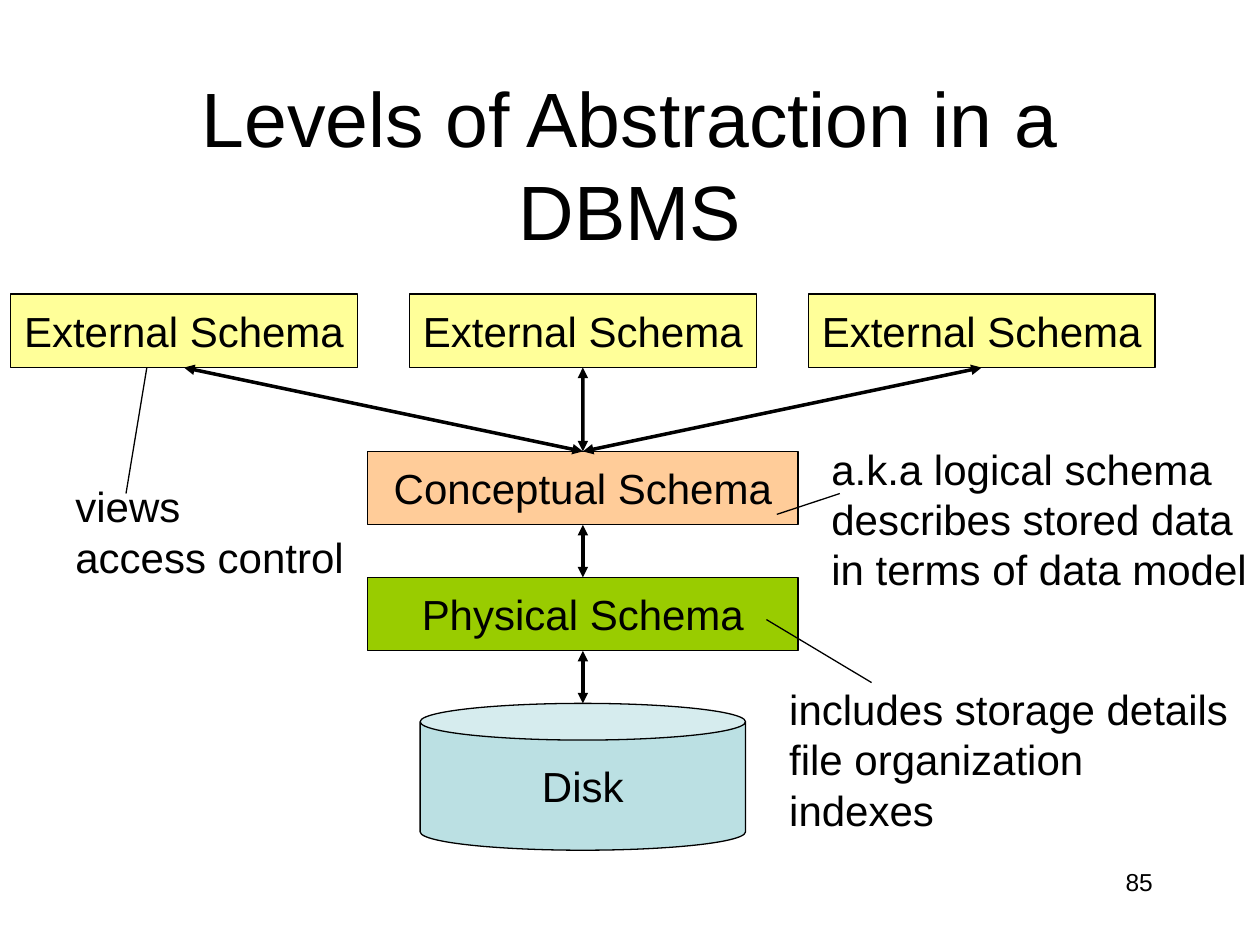
from lxml import etree
from pptx import Presentation
from pptx.dml.color import RGBColor
from pptx.enum.shapes import MSO_CONNECTOR as Connector, MSO_SHAPE as Shape
from pptx.enum.text import MSO_ANCHOR as Anchor, PP_ALIGN as Align
from pptx.oxml.ns import qn
from pptx.util import Cm, Pt

BLACK = RGBColor(0x00, 0x00, 0x00)
YELLOW = RGBColor(0xFF, 0xFF, 0x99)
ORANGE = RGBColor(0xFF, 0xCC, 0x99)
GREEN = RGBColor(0x99, 0xCC, 0x00)
TEAL = RGBColor(0xBB, 0xE0, 0xE3)

TOP, BOTTOM = 0, 2  # connection sites of a rectangle


class SlideBuilder:
    font = "Arial"
    body_size = 24
    thin, thick = 0.75, 2

    def __init__(self, slide):
        self.slide = slide

    def add_lines(self, shape, lines, size, align, anchor, wrap):
        frame = shape.text_frame
        frame.word_wrap = wrap
        frame.vertical_anchor = anchor
        for index, line in enumerate(lines):
            para = frame.add_paragraph() if index else frame.paragraphs[0]
            para.alignment = align
            span = para.add_run()
            span.text = line
            span.font.name = self.font
            span.font.size = Pt(size)
            span.font.color.rgb = BLACK

    def text(self, left, top, width, height, *lines, size=body_size,
             align=Align.LEFT, anchor=Anchor.TOP, wrap=False):
        box = self.slide.shapes.add_textbox(Cm(left), Cm(top), Cm(width), Cm(height))
        self.add_lines(box, lines, size, align, anchor, wrap)

    def block(self, kind, left, top, width, height, fill, label):
        shape = self.slide.shapes.add_shape(kind, Cm(left), Cm(top), Cm(width), Cm(height))
        shape.shadow.inherit = False
        shape.fill.solid()
        shape.fill.fore_color.rgb = fill
        shape.line.color.rgb = BLACK
        shape.line.width = Pt(self.thin)
        self.add_lines(shape, [label], self.body_size, Align.CENTER, Anchor.MIDDLE, False)
        return shape

    def line(self, x1, y1, x2, y2, weight=thin):
        link = self.slide.shapes.add_connector(
            Connector.STRAIGHT, Cm(x1), Cm(y1), Cm(x2), Cm(y2))
        link.line.color.rgb = BLACK
        link.line.width = Pt(weight)
        etree.SubElement(link._element.spPr, qn("a:effectLst"))
        return link

    def arrow(self, x1=0, y1=0, x2=0, y2=0):
        link = self.line(x1, y1, x2, y2, self.thick)
        outline = link._element.spPr.find(qn("a:ln"))
        for end in ("a:headEnd", "a:tailEnd"):
            etree.SubElement(outline, qn(end), type="triangle")
        return link

    def join(self, start, start_site, finish, finish_site):
        link = self.arrow()
        link.begin_connect(start, start_site)
        link.end_connect(finish, finish_site)


def main():
    deck = Presentation()
    deck.slide_width, deck.slide_height = Cm(25.4), Cm(19.05)
    page = SlideBuilder(deck.slides.add_slide(deck.slide_layouts[6]))

    # Title
    page.text(1.9, 1.7, 21.6, 3.18, "Levels of Abstraction in a DBMS",
              size=44, align=Align.CENTER, anchor=Anchor.MIDDLE, wrap=True)

    # Levels, all centred on one axis
    axis, row_height = 11.75, 1.48
    level_top, level_step, level_width = 9.1, 2.54, 8.68
    disk_top, disk_width = level_top + 2 * level_step, 6.56
    page.block(Shape.CAN, axis - disk_width / 2, disk_top, disk_width, 2.96, TEAL, "Disk")
    conceptual, physical = [
        page.block(Shape.RECTANGLE, axis - level_width / 2, level_top + row * level_step,
                   level_width, row_height, fill, label)
        for row, (fill, label) in enumerate(
            [(ORANGE, "Conceptual Schema"), (GREEN, "Physical Schema")])]

    view_width, view_step = 6.99, 8.04
    views = [
        page.block(Shape.RECTANGLE, axis + column * view_step - view_width / 2, 5.93,
                   view_width, row_height, YELLOW, "External Schema")
        for column in (-1, 0, 1)]

    # Mappings between levels
    to_disk = page.arrow(axis, disk_top - 1, axis, disk_top)
    to_disk.begin_connect(physical, BOTTOM)
    page.join(conceptual, BOTTOM, physical, TOP)
    for view in views:
        page.join(conceptual, TOP, view, BOTTOM)

    # Notes with their leader lines
    page.text(16.51, 8.81, 8.89, 3.3, "a.k.a logical schema",
              "describes stored data", "in terms of data model")
    page.text(15.66, 13.65, 9.37, 3.3, "includes storage details",
              "file organization", "indexes")
    page.line(15.45, 12.49, 17.57, 13.76)
    page.line(15.66, 10.37, 16.93, 9.95)
    page.text(1.27, 9.57, 5.93, 2.28, "views", "access control")
    page.line(2.96, 7.41, 2.54, 9.95)

    # Page number
    page.text(18.2, 17.36, 5.29, 1.27, "85", size=14, align=Align.RIGHT, wrap=True)

    deck.save("out.pptx")


if __name__ == "__main__":
    main()
